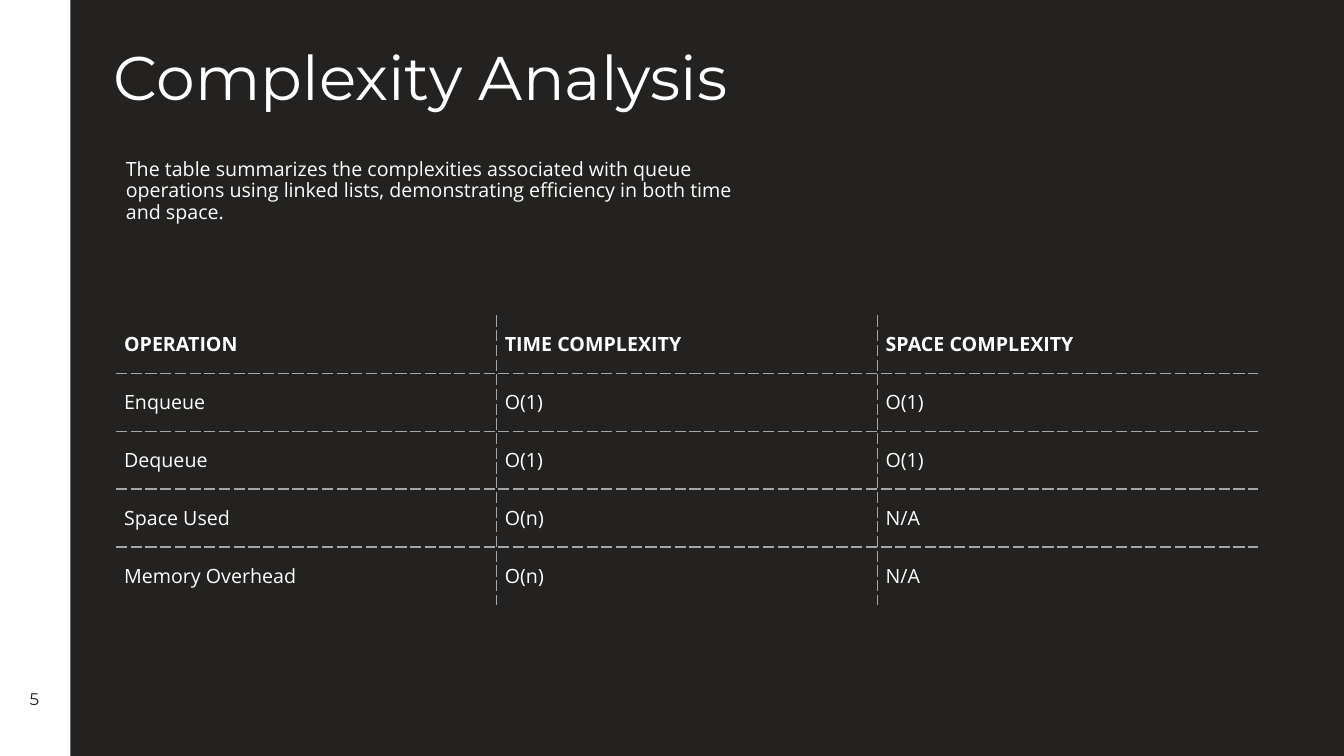
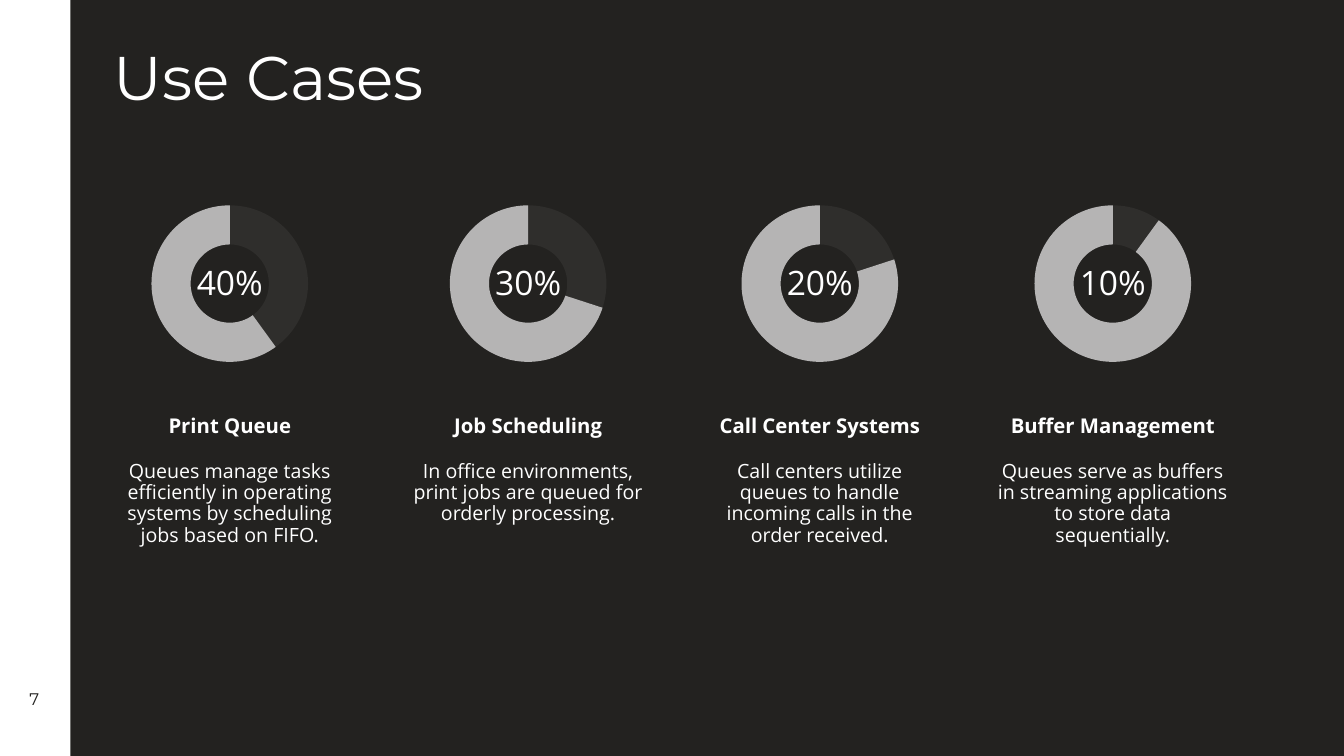
from lxml import etree
from pptx import Presentation
from pptx.chart.data import CategoryChartData
from pptx.dml.color import RGBColor
from pptx.enum.chart import XL_CHART_TYPE
from pptx.enum.shapes import MSO_SHAPE
from pptx.enum.text import MSO_ANCHOR, MSO_AUTO_SIZE, PP_ALIGN
from pptx.oxml.ns import qn
from pptx.util import Inches, Pt

RECTANGLE = MSO_SHAPE.RECTANGLE
DOUGHNUT = XL_CHART_TYPE.DOUGHNUT
LEFT, CENTER = PP_ALIGN.LEFT, PP_ALIGN.CENTER
TOP, MIDDLE, BOTTOM = MSO_ANCHOR.TOP, MSO_ANCHOR.MIDDLE, MSO_ANCHOR.BOTTOM

WHITE = RGBColor(0xFF, 0xFF, 0xFF)
INK = RGBColor(0x23, 0x22, 0x20)
RULE_GREY = RGBColor(0xA6, 0xA6, 0xA6)
RING_DARK = RGBColor(0x2F, 0x2E, 0x2C)
RING_LIGHT = RGBColor(0xB5, 0xB4, 0xB4)

TITLE_FONT, BODY_FONT = "Montserrat", "Open Sans"
BODY_SIZE = 14
LINE_SPACING = 0.9
WIDTH, HEIGHT = Inches(13.33), Inches(7.5)

SUMMARY = (
    "The table summarizes the complexities associated with queue operations "
    "using linked lists, demonstrating efficiency in both time and space."
)
COMPLEXITIES = [
    ("OPERATION", "TIME COMPLEXITY", "SPACE COMPLEXITY"),
    ("Enqueue", "O(1)", "O(1)"),
    ("Dequeue", "O(1)", "O(1)"),
    ("Space Used", "O(n)", "N/A"),
    ("Memory Overhead", "O(n)", "N/A"),
]
# Column centre (percent of slide width), share, heading, description
USE_CASES = [
    (17.1, 40, "Print Queue",
     "Queues manage tasks efficiently in operating systems by scheduling "
     "jobs based on FIFO."),
    (39.3, 30, "Job Scheduling",
     "In office environments, print jobs are queued for orderly processing."),
    (61, 20, "Call Center Systems",
     "Call centers utilize queues to handle incoming calls in the order "
     "received."),
    (82.8, 10, "Buffer Management",
     "Queues serve as buffers in streaming applications to store data "
     "sequentially."),
]


def area(left, top, width, height):
    """Turn percentages of the slide into a position and size."""
    return (int(WIDTH * left / 100), int(HEIGHT * top / 100),
            int(WIDTH * width / 100), int(HEIGHT * height / 100))


def centred(center, top, width, height):
    return area(center - width / 2, top, width, height)


def write(frame, text, size=BODY_SIZE, font=BODY_FONT, color=WHITE,
          bold=False, align=LEFT):
    para = frame.paragraphs[0]
    para.alignment = align
    para.line_spacing = LINE_SPACING
    span = para.add_run()
    span.text = text
    span.font.name = font
    span.font.size = Pt(size)
    span.font.bold = bold
    span.font.color.rgb = color


def add_text(page, place, text, anchor=MIDDLE, **style):
    frame = page.shapes.add_textbox(*place).text_frame
    frame.word_wrap = True
    frame.vertical_anchor = anchor
    write(frame, text, **style)


def add_page(deck, title, number):
    """Add a slide with the side band, title and page number."""
    page = deck.slides.add_slide(deck.slide_layouts.get_by_name("Title Only"))

    band = page.shapes.add_shape(RECTANGLE, *area(0, 0, 5.25, 100))
    band.shadow.inherit = False
    band.fill.solid()
    band.fill.fore_color.rgb = WHITE
    band.line.fill.background()

    box = page.shapes.title
    box.left, box.top, box.width, box.height = area(7.73, 4.4, 84.45, 12.4)
    box.text_frame.auto_size = MSO_AUTO_SIZE.NONE
    box.text_frame.vertical_anchor = MIDDLE
    write(box.text_frame, title, size=44, font=TITLE_FONT)

    add_text(page, area(0, 90, 5.1, 5.2), str(number), size=12,
             font=TITLE_FONT, color=INK, align=CENTER)
    return page


def set_border(cell, position, edge, visible):
    """Insert one cell border, dashed or absent, before the cell's fill."""
    line = etree.Element(qn(f"a:ln{edge}"), w=str(Pt(1) if visible else 0))
    if visible:
        fill = etree.SubElement(line, qn("a:solidFill"))
        etree.SubElement(fill, qn("a:srgbClr"), val=str(RULE_GREY))
        etree.SubElement(line, qn("a:prstDash"), val="sysDash")
    else:
        etree.SubElement(line, qn("a:noFill"))
    cell._tc.get_or_add_tcPr().insert(position, line)


def add_grid_table(page, place, rows):
    """Add a table ruled only between its cells."""
    last_row, last_column = len(rows) - 1, len(rows[0]) - 1
    table = page.shapes.add_table(len(rows), len(rows[0]), *place).table
    table.horz_banding = False
    table.first_row = False
    for r, texts in enumerate(rows):
        for c, text in enumerate(texts):
            cell = table.cell(r, c)
            cell.vertical_anchor = MIDDLE
            cell.margin_left = cell.margin_right = Inches(0.08)
            cell.margin_top = cell.margin_bottom = Inches(0.08)
            cell.fill.background()
            write(cell.text_frame, text, bold=r == 0)
            inner = {"L": c > 0, "R": c < last_column,
                     "T": r > 0, "B": r < last_row}
            for position, (edge, visible) in enumerate(inner.items()):
                set_border(cell, position, edge, visible)


def fix_plot_area(chart, left, top, width, height):
    """Place the plot by shares of the chart frame."""
    plot_area = chart._chartSpace.find(".//" + qn("c:plotArea"))
    old_layout = plot_area.find(qn("c:layout"))
    if old_layout is not None:
        plot_area.remove(old_layout)
    layout = etree.Element(qn("c:layout"))
    manual = etree.SubElement(layout, qn("c:manualLayout"))
    settings = [("layoutTarget", "inner"), ("xMode", "edge"),
                ("yMode", "edge"), ("x", left), ("y", top),
                ("w", width), ("h", height)]
    for name, value in settings:
        etree.SubElement(manual, qn(f"c:{name}"), val=str(value))
    plot_area.insert(0, layout)


def add_ring(page, place, share):
    data = CategoryChartData()
    data.categories = ["1", "2"]
    data.add_series("Series 1", (share, 100 - share))
    chart = page.shapes.add_chart(DOUGHNUT, *place, data).chart
    chart.has_legend = False
    chart.has_title = False
    chart.font.name = BODY_FONT
    chart.font.size = Pt(10)
    chart.font.color.rgb = WHITE
    plot = chart.plots[0]
    plot.vary_by_categories = False
    for index, color in enumerate((RING_DARK, RING_LIGHT)):
        slice_format = plot.series[0].points[index].format
        slice_format.fill.solid()
        slice_format.fill.fore_color.rgb = color
        slice_format.line.fill.background()
    fix_plot_area(chart, 0.15, 0.07, 0.7, 0.86)


def add_use_case(page, center, share, heading, description):
    add_ring(page, centred(center, 25.33, 16.65, 24.4), share)
    add_text(page, centred(center, 34.27, 7.5, 6.67), f"{share}%",
             size=24, align=CENTER)
    add_text(page, centred(center, 51.73, 18.75, 6.8), heading,
             anchor=BOTTOM, size=14.5, bold=True, align=CENTER)
    add_text(page, centred(center, 60.4, 18.75, 34.8), description,
             anchor=TOP, align=CENTER)


def main():
    deck = Presentation()
    deck.slide_width, deck.slide_height = WIDTH, HEIGHT
    backdrop = deck.slide_master.background.fill
    backdrop.solid()
    backdrop.fore_color.rgb = INK

    # Complexity table
    page = add_page(deck, "Complexity Analysis", 5)
    add_text(page, area(8.63, 19.6, 48.75, 11.47), SUMMARY)
    add_grid_table(page, area(8.63, 41.73, 85, 38.27), COMPLEXITIES)

    # Use cases with their shares
    page = add_page(deck, "Use Cases", 7)
    for use_case in USE_CASES:
        add_use_case(page, *use_case)

    deck.save("out.pptx")


if __name__ == "__main__":
    main()
